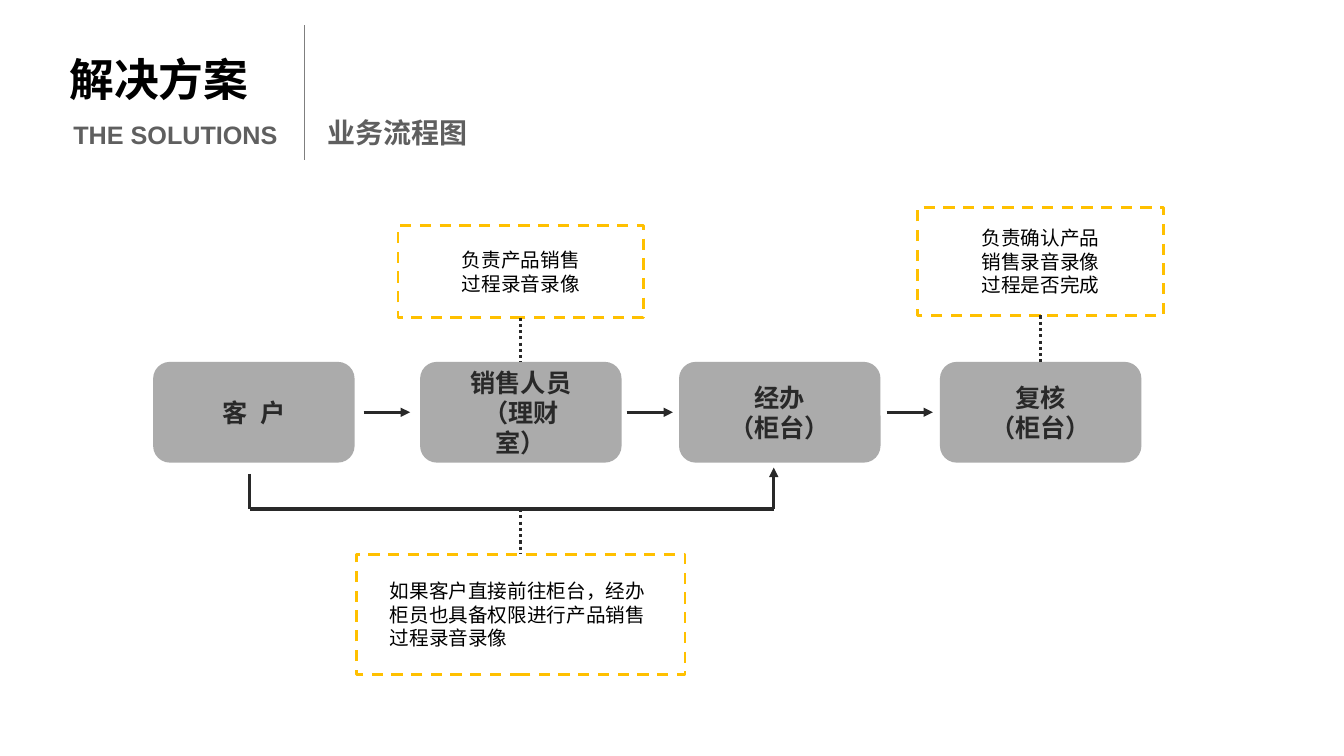
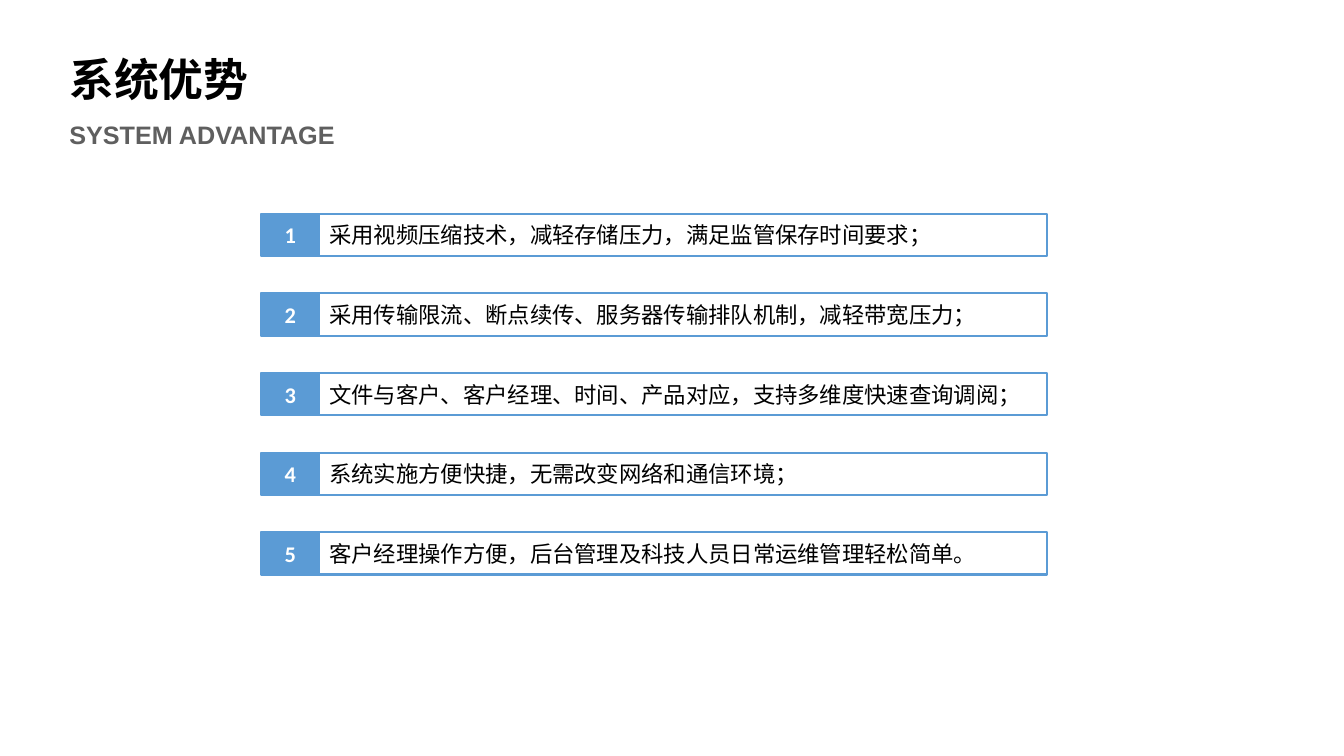
"""Builds two slides: a sales recording workflow and a list of system advantages."""
import pptx
import pptx.util
import pptx.dml.color
import pptx.enum.dml
import pptx.enum.shapes
import pptx.enum.text
import pptx.oxml
import pptx.oxml.ns

PX = 9144
INK, GREY, BLACK, WHITE = "292929", "5F5F5F", "000000", "FFFFFF"
STAGE_GREY, AMBER, BLUE, RULE_GREY = "969696", "FFC000", "5B9BD5", "7F7F7F"
LATIN, CJK, DIGITS = "Arial", "Noto Sans CJK SC", "Calibri"
DASH = pptx.enum.dml.MSO_LINE.DASH
DOTS = pptx.enum.dml.MSO_LINE.ROUND_DOT
RECT = pptx.enum.shapes.MSO_SHAPE.RECTANGLE
ROUNDED = pptx.enum.shapes.MSO_SHAPE.ROUNDED_RECTANGLE
TOP, BOTTOM = 0, 2

STAGES = [
    {"left": 152, "text": "客 户", "spacing": 250},
    {"left": 417, "text": "销售人员（理财室）", "note": "负责产品销售\n过程录音录像",
     "note_top": 224, "note_height": 91},
    {"left": 674, "text": "经办\n（柜台）"},
    {"left": 933, "text": "复核\n（柜台）", "note": "负责确认产品\n销售录音录像\n过程是否完成",
     "note_top": 206, "note_height": 107},
]
STAGE_TOP, STAGE_WIDTH, STAGE_HEIGHT = 359, 200, 100
NOTE_WIDTH, ARROW_LENGTH = 244, 46
BYPASS = [(248, 470), (248, 505), (768, 505), (768, 464)]
BYPASS_NOTE = "如果客户直接前往柜台，经办柜员也具备权限进行产品销售过程录音录像"
BYPASS_NOTE_BOX = (354, 550, 326, 119)

ADVANTAGES = [
    "采用视频压缩技术，减轻存储压力，满足监管保存时间要求；",
    "采用传输限流、断点续传、服务器传输排队机制，减轻带宽压力；",
    "文件与客户、客户经理、时间、产品对应，支持多维度快速查询调阅；",
    "系统实施方便快捷，无需改变网络和通信环境；",
    "客户经理操作方便，后台管理及科技人员日常运维管理轻松简单。",
]
ROW_LEFT, ROW_TOP, ROW_PITCH, ROW_HEIGHT = 259, 212, 79, 42
NUMBER_WIDTH, ADVANTAGE_WIDTH = 58, 722


def px(*lengths):
    return [pptx.util.Emu(length * PX) for length in lengths]


def rgb(code):
    return pptx.dml.color.RGBColor.from_string(code)


def write(shape, text, size=14, color=BLACK, bold=False, font=LATIN, center=False,
          middle=True, inset=(10, 5), spacing=None):
    frame = shape.text_frame
    frame.word_wrap = True
    frame.margin_left, frame.margin_top = px(*inset)
    frame.margin_right, frame.margin_bottom = px(*inset)
    anchors = pptx.enum.text.MSO_ANCHOR
    frame.vertical_anchor = anchors.MIDDLE if middle else anchors.TOP
    align = pptx.enum.text.PP_ALIGN
    for index, line in enumerate(text.split("\n")):
        paragraph = frame.add_paragraph() if index else frame.paragraphs[0]
        paragraph.alignment = align.CENTER if center else align.LEFT
        run = paragraph.add_run()
        run.text = line
        run.font.size = pptx.util.Pt(size)
        run.font.bold = bold
        run.font.color.rgb = rgb(color)
        run.font.name = font
        properties = run.font._element
        east_asian = pptx.oxml.ns.qn("a:ea")
        properties.append(properties.makeelement(east_asian, {"typeface": CJK}))
        if spacing:
            properties.set("spc", str(spacing))


def label(slide, box, text, **style):
    write(slide.shapes.add_textbox(*px(*box)), text, middle=False, **style)


def panel(slide, kind, box, text, fill=None, alpha=None, line=None, width=1.5, dash=None, **style):
    shape = slide.shapes.add_shape(kind, *px(*box))
    shape.shadow.inherit = False
    if fill:
        shape.fill.solid()
        shape.fill.fore_color.rgb = rgb(fill)
        if alpha:
            tint = shape.element.spPr.find(".//" + pptx.oxml.ns.qn("a:srgbClr"))
            tint.append(tint.makeelement(pptx.oxml.ns.qn("a:alpha"), {"val": str(alpha * 1000)}))
    else:
        shape.fill.background()
    if line:
        shape.line.color.rgb = rgb(line)
        shape.line.width = pptx.util.Pt(width)
        if dash:
            shape.line.dash_style = dash
    else:
        shape.line.fill.background()
    write(shape, text, **style)
    return shape


def connect(slide, start, end, color=INK, width=2.25, dash=None, arrow=False):
    straight = pptx.enum.shapes.MSO_CONNECTOR.STRAIGHT
    connector = slide.shapes.add_connector(straight, *px(*start, *end))
    connector.line.color.rgb = rgb(color)
    connector.line.width = pptx.util.Pt(width)
    if dash:
        connector.line.dash_style = dash
    properties = connector.element.spPr
    if arrow:
        outline = properties.find(pptx.oxml.ns.qn("a:ln"))
        outline.append(outline.makeelement(pptx.oxml.ns.qn("a:tailEnd"), {"type": "triangle"}))
    properties.append(properties.makeelement(pptx.oxml.ns.qn("a:effectLst"), {}))
    return connector


def note(slide, box, text, **style):
    return panel(slide, RECT, box, text, line=AMBER, width=2, dash=DASH, **style)


def titled_slide(deck, title, subtitle, subtitle_left=59):
    slide = deck.slides.add_slide(deck.slide_layouts[6])
    label(slide, (59, 46, 223, 64), title, size=32, bold=True)
    label(slide, (subtitle_left, 113, 302, 40), subtitle, size=18, color=GREY, bold=True)
    return slide


def build_workflow(deck):
    slide = titled_slide(deck, "解决方案", "THE SOLUTIONS", subtitle_left=63)
    label(slide, (315, 110, 211, 44), "业务流程图", size=20, color=GREY, bold=True)
    connect(slide, (302, 25), (302, 159), color=RULE_GREY, width=0.5)

    for stage in STAGES:
        box = (stage["left"], STAGE_TOP, STAGE_WIDTH, STAGE_HEIGHT)
        stage_box = panel(slide, ROUNDED, box, stage["text"], fill=STAGE_GREY, alpha=80, size=18,
                          color=INK, bold=True, center=True, inset=(36, 5),
                          spacing=stage.get("spacing"))
        if "note" in stage:
            center = stage["left"] + STAGE_WIDTH // 2
            note_box = note(slide, (center - NOTE_WIDTH // 2, stage["note_top"], NOTE_WIDTH,
                                    stage["note_height"]), stage["note"], center=True)
            stem = connect(slide, (center, stage["note_top"] + stage["note_height"]),
                           (center, STAGE_TOP), dash=DOTS)
            stem.begin_connect(note_box, BOTTOM)
            stem.end_connect(stage_box, TOP)

    arrow_y = STAGE_TOP + STAGE_HEIGHT // 2
    for before, after in zip(STAGES, STAGES[1:]):
        gap_center = (before["left"] + STAGE_WIDTH + after["left"]) // 2
        start = gap_center - ARROW_LENGTH // 2
        connect(slide, (start, arrow_y), (start + ARROW_LENGTH, arrow_y), arrow=True)

    for start, end in zip(BYPASS, BYPASS[1:]):
        connect(slide, start, end, arrow=end == BYPASS[-1])
    left, top, width, _ = BYPASS_NOTE_BOX
    center = left + width // 2
    bypass_note = note(slide, BYPASS_NOTE_BOX, BYPASS_NOTE, inset=(33, 5))
    stem = connect(slide, (center, BYPASS[1][1]), (center, top), dash=DOTS)
    stem.end_connect(bypass_note, TOP)


def build_advantages(deck):
    slide = titled_slide(deck, "系统优势", "SYSTEM ADVANTAGE")
    for index, advantage in enumerate(ADVANTAGES):
        top = ROW_TOP + index * ROW_PITCH
        panel(slide, RECT, (ROW_LEFT, top, NUMBER_WIDTH, ROW_HEIGHT), str(index + 1), fill=BLUE,
              line=BLUE, size=16, color=WHITE, bold=True, font=DIGITS, center=True)
        panel(slide, RECT, (ROW_LEFT + NUMBER_WIDTH, top, ADVANTAGE_WIDTH, ROW_HEIGHT), advantage,
              line=BLUE, size=16, font=CJK)


def main():
    deck = pptx.Presentation()
    deck.slide_width, deck.slide_height = px(1334, 750)
    build_workflow(deck)
    build_advantages(deck)
    deck.save("out.pptx")


if __name__ == "__main__":
    main()
